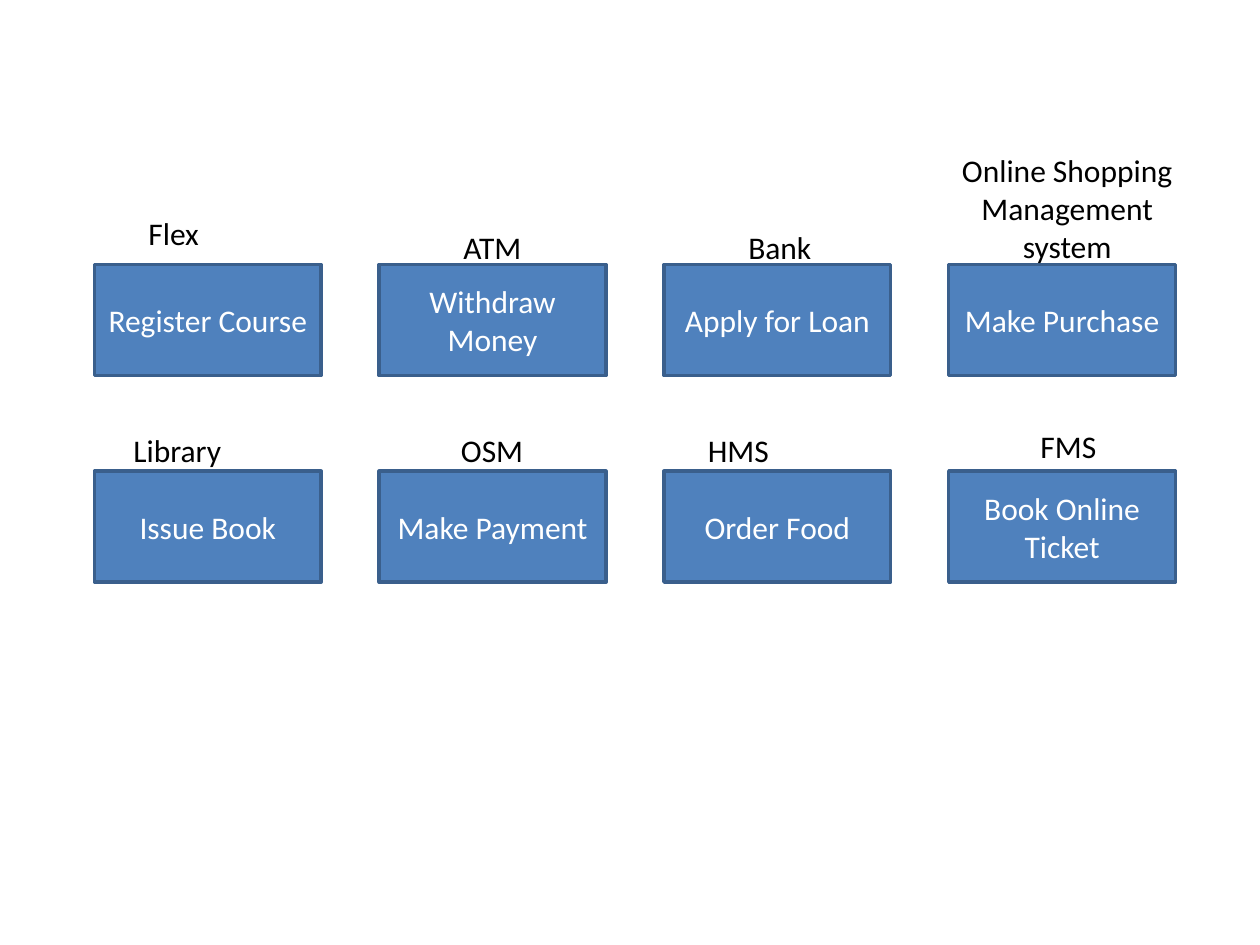
import pptx
import pptx.util
import pptx.dml.color
import pptx.enum.shapes
import pptx.enum.text
from dataclasses import dataclass

Inches = pptx.util.Inches
ALIGN = pptx.enum.text.PP_ALIGN


@dataclass(frozen=True)
class Theme:
    font: str = "Calibri"
    size: int = 18
    fill: str = "4F81BD"
    border: str = "3A5F8C"
    border_width: int = 2
    box_text: str = "FFFFFF"
    label_text: str = "000000"


THEME = Theme()

# Grid of use-case boxes, in inches
LEFT, TOP = 0.75, 2.1
COLUMN_STEP, ROW_STEP = 2.26, 1.64
BOX_W, BOX_H = 1.8, 0.88
LABEL_H = 0.4

# Each cell: use case, system, then the label's shift right, rise above the box and width
ROWS = [
    [("Register Course", "Flex", 0.33, 0.45, 1.03),
     ("Withdraw Money", "ATM", 0.57, 0.34, 0.8),
     ("Apply for Loan", "Bank", 0.57, 0.34, 1.01),
     ("Make Purchase", "Online Shopping Management system", 0, 0.95, 1.88)],
    [("Issue Book", "Library", 0.21, 0.37, 1.35),
     ("Make Payment", "OSM", 0.55, 0.37, 1.45),
     ("Order Food", "HMS", 0.25, 0.37, 1.44),
     ("Book Online Ticket", "FMS", 0.63, 0.4, 1.03)],
]


def rgb(value):
    return pptx.dml.color.RGBColor.from_string(value)


def write(s, text, color, align):
    tf = s.text_frame
    tf.word_wrap = True
    p = tf.paragraphs[0]
    p.text = text
    p.alignment = align
    p.font.name = THEME.font
    p.font.size = pptx.util.Pt(THEME.size)
    p.font.color.rgb = rgb(color)
    return tf


def add_use_case(slide, x, y, text):
    s = slide.shapes.add_shape(pptx.enum.shapes.MSO_SHAPE.RECTANGLE,
                               Inches(x), Inches(y), Inches(BOX_W), Inches(BOX_H))
    s.shadow.inherit = False
    s.fill.solid()
    s.fill.fore_color.rgb = rgb(THEME.fill)
    s.line.color.rgb = rgb(THEME.border)
    s.line.width = pptx.util.Pt(THEME.border_width)
    tf = write(s, text, THEME.box_text, ALIGN.CENTER)
    tf.vertical_anchor = pptx.enum.text.MSO_ANCHOR.MIDDLE


def add_label(slide, x, y, width, height, text, align):
    s = slide.shapes.add_textbox(Inches(x), Inches(y), Inches(width), Inches(height))
    tf = write(s, text, THEME.label_text, align)
    tf.auto_size = pptx.enum.text.MSO_AUTO_SIZE.SHAPE_TO_FIT_TEXT


def main():
    prs = pptx.Presentation()
    prs.slide_width, prs.slide_height = Inches(10), Inches(7.5)
    slide = prs.slides.add_slide(prs.slide_layouts[6])

    for row, cells in enumerate(ROWS):
        y = TOP + row * ROW_STEP
        for column, (use_case, system, shift, rise, width) in enumerate(cells):
            x = LEFT + column * COLUMN_STEP
            add_use_case(slide, x, y, use_case)
            # A label as wide as its box wraps to three centred lines
            wide = width > BOX_W
            height = 1.01 if wide else LABEL_H
            align = ALIGN.CENTER if wide else ALIGN.LEFT
            add_label(slide, x + shift, y - rise, width, height, system, align)

    prs.save("out.pptx")


if __name__ == "__main__":
    main()
